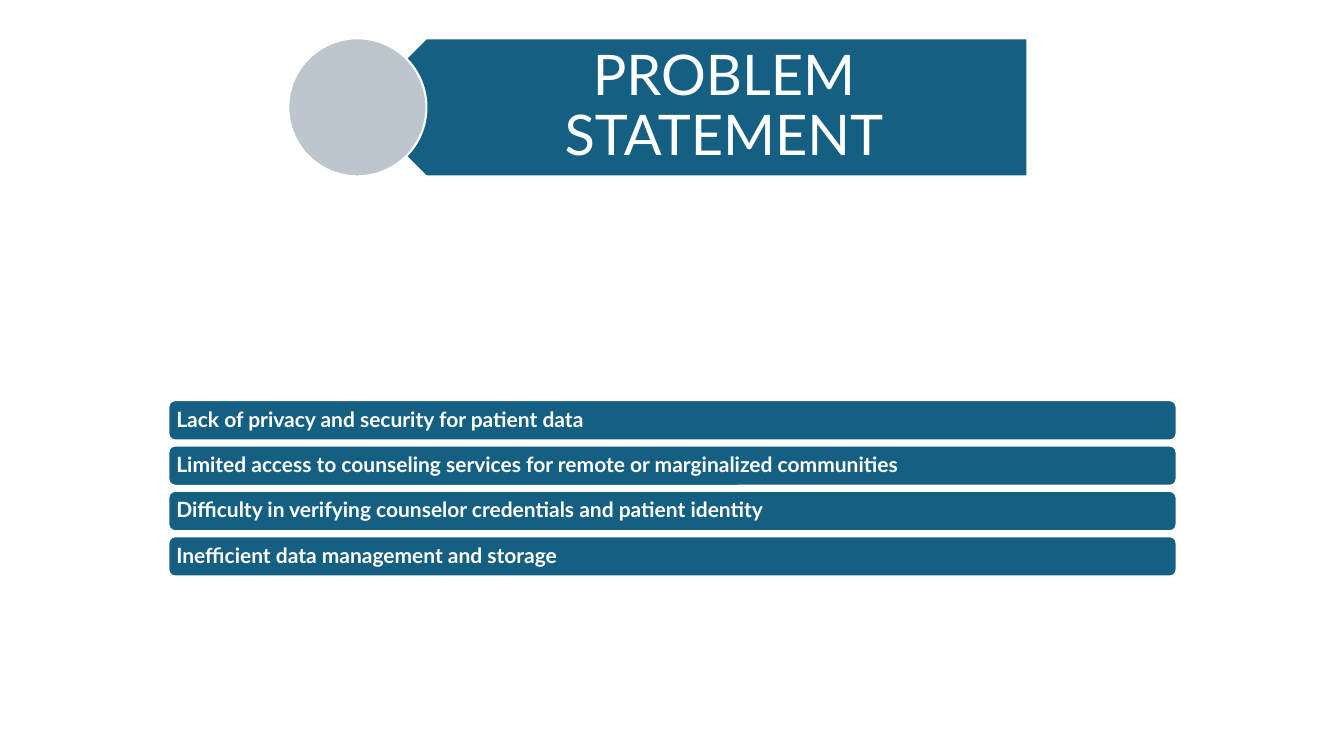
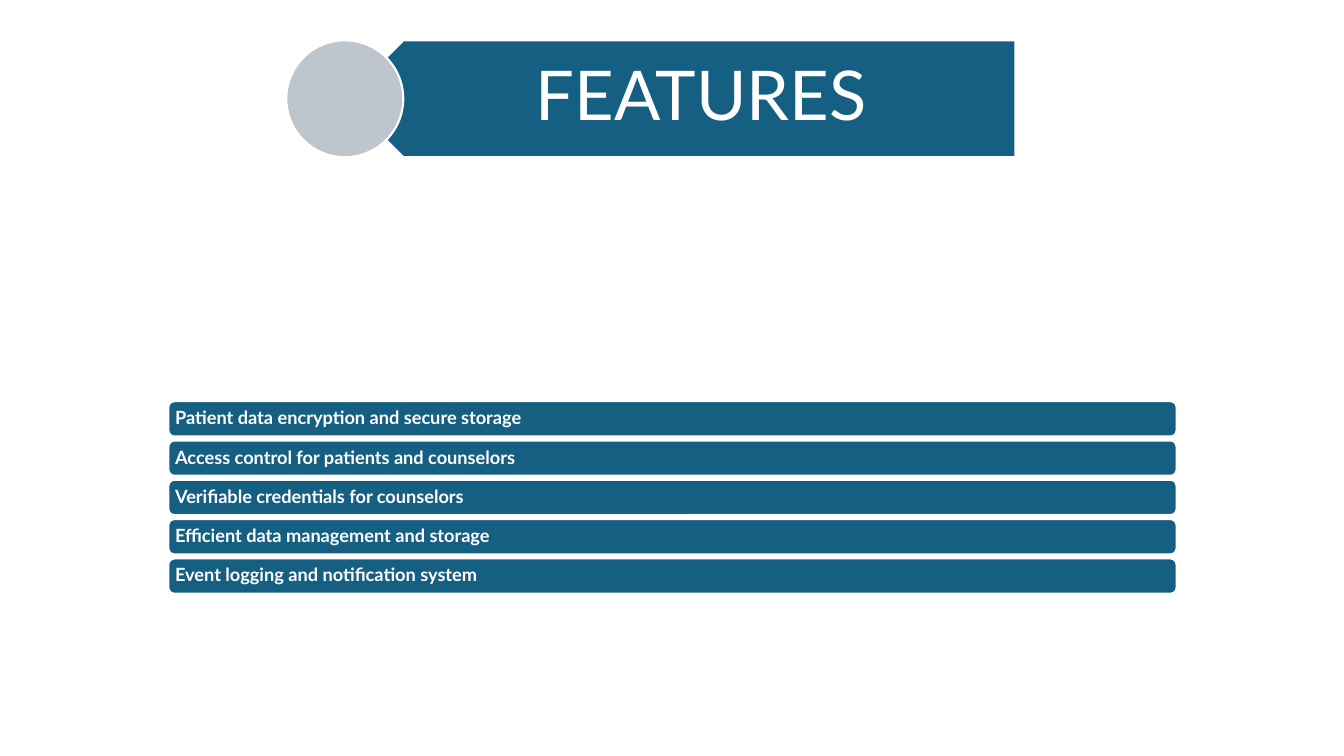
from pptx import Presentation
from pptx.dml.color import RGBColor
from pptx.enum.shapes import MSO_SHAPE
from pptx.enum.text import MSO_ANCHOR, PP_ALIGN
from pptx.util import Emu, Pt

PENTAGON = MSO_SHAPE.PENTAGON
OVAL = MSO_SHAPE.OVAL
ROUNDED = MSO_SHAPE.ROUNDED_RECTANGLE
MIDDLE = MSO_ANCHOR.MIDDLE
LEFT, CENTER = PP_ALIGN.LEFT, PP_ALIGN.CENTER


def px(n):
    """Convert whole px, 100 to the inch, to EMU."""
    return Emu(n * 9144)


def rgb(value):
    """Turn a hex string into a colour."""
    return RGBColor.from_string(value)


class Deck:
    """Hold the shared style and the current slide."""

    FONT = "Lato"
    BLUE, GREY, WHITE = "156082", "BDC5CD", "FFFFFF"
    BANNER_WIDTH = 665
    BAR_LEFT, BAR_WIDTH = 167, 1000

    def __init__(self):
        """Start an empty widescreen presentation."""
        self.prs = Presentation()
        self.prs.slide_width, self.prs.slide_height = px(1333), px(750)

    def add_slide(self):
        """Begin a new blank white slide."""
        self.s = self.prs.slides.add_slide(self.prs.slide_layouts[6])
        fill = self.s.background.fill
        fill.solid()
        fill.fore_color.rgb = rgb(self.WHITE)

    def shape(self, kind, left, top, width, height, color):
        """Draw a filled preset shape with a thin white outline."""
        sp = self.s.shapes.add_shape(kind, px(left), px(top), px(width), px(height))
        sp.shadow.inherit = False
        sp.fill.solid()
        sp.fill.fore_color.rgb = rgb(color)
        sp.line.color.rgb = rgb(self.WHITE)
        sp.line.width = Pt(1.5)
        return sp

    def text(self, sp, text, size, insets, align=LEFT, bold=False):
        """Write one white, vertically centred paragraph into a shape."""
        tf = sp.text_frame
        tf.word_wrap = True
        tf.vertical_anchor = MIDDLE
        tf.margin_left, tf.margin_top, tf.margin_right, tf.margin_bottom = map(px, insets)
        p = tf.paragraphs[0]
        p.alignment = align
        p.line_spacing = 0.9
        r = p.add_run()
        r.text = text
        r.font.name = self.FONT
        r.font.size = Pt(size)
        r.font.bold = bold
        r.font.color.rgb = rgb(self.WHITE)

    def banner(self, title, left, top, height, size, insets):
        """Draw the left-pointing title banner with a disc over its tip."""
        width, tip = self.BANNER_WIDTH, height // 4
        arrow = self.shape(PENTAGON, left, top, width, height, self.BLUE)
        arrow.rotation = 180
        box = self.s.shapes.add_textbox(px(left + tip), px(top), px(width - tip), px(height))
        self.text(box, title, size, insets, CENTER)
        self.shape(OVAL, left - height // 2, top, height, height, self.GREY)

    def bars(self, items, top, height, gap, size, inset):
        """Stack one rounded bar per item."""
        for i, item in enumerate(items):
            y = top + i * (height + gap)
            bar = self.shape(ROUNDED, self.BAR_LEFT, y, self.BAR_WIDTH, height, self.BLUE)
            self.text(bar, item, size, [inset] * 4, bold=True)


def main():
    """Build and save both slides."""
    deck = Deck()

    deck.add_slide()
    deck.banner("PROBLEM STATEMENT", left=354, top=38, height=137, size=40,
                insets=(60, 17, 31, 17))
    deck.bars([
        "Lack of privacy and security for patient data",
        "Limited access to counseling services for remote or marginalized communities",
        "Difficulty in verifying counselor credentials and patient identity",
        "Inefficient data management and storage",
    ], top=397, height=40, gap=5, size=15, inset=6)

    deck.add_slide()
    deck.banner("FEATURES", left=342, top=40, height=116, size=49,
                insets=(51, 20, 38, 20))
    deck.bars([
        "Patient data encryption and secure storage",
        "Access control for patients and counselors",
        "Verifiable credentials for counselors",
        "Efficient data management and storage",
        "Event logging and notification system",
    ], top=398, height=35, gap=4, size=13, inset=5)

    deck.prs.save("out.pptx")


if __name__ == "__main__":
    main()
